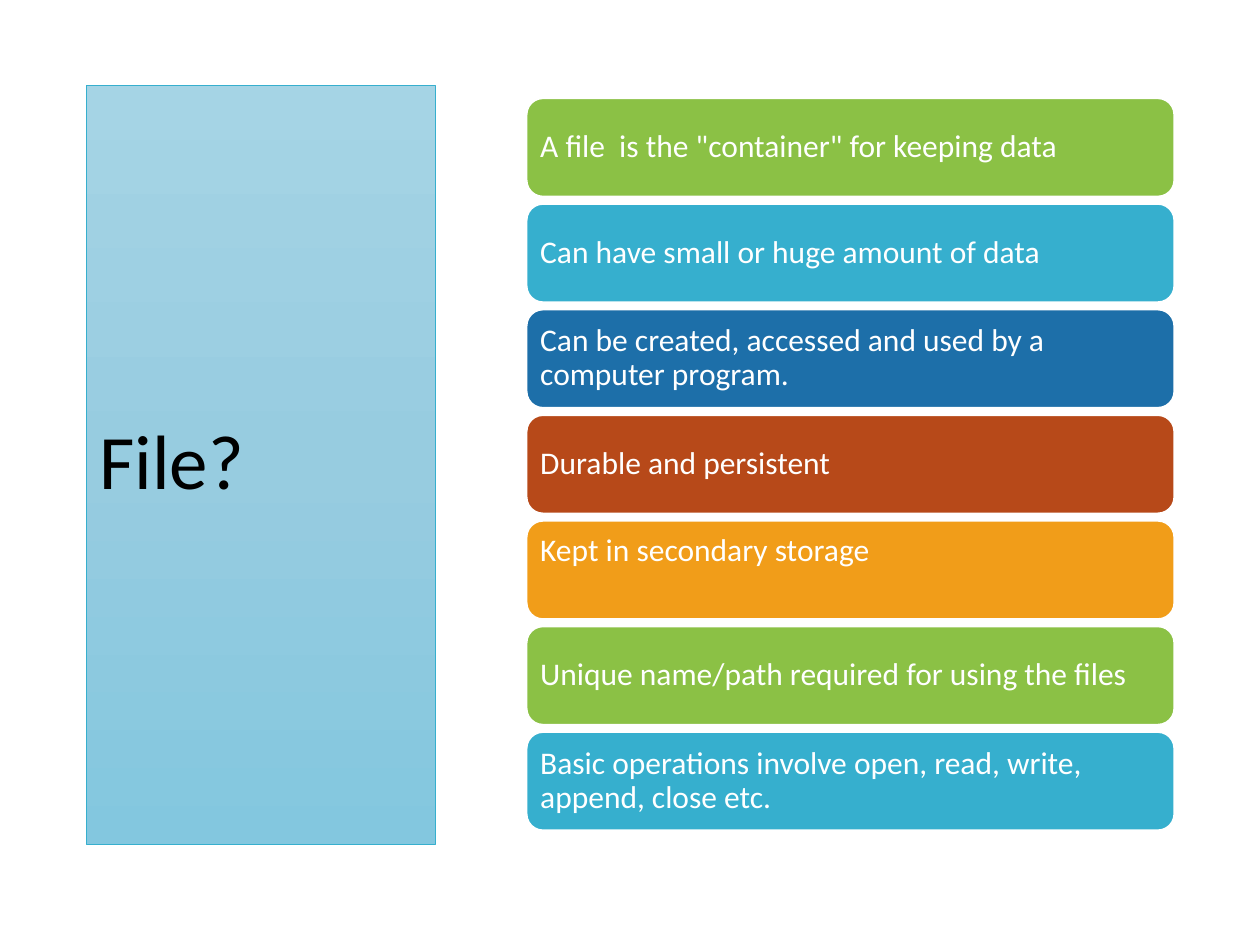
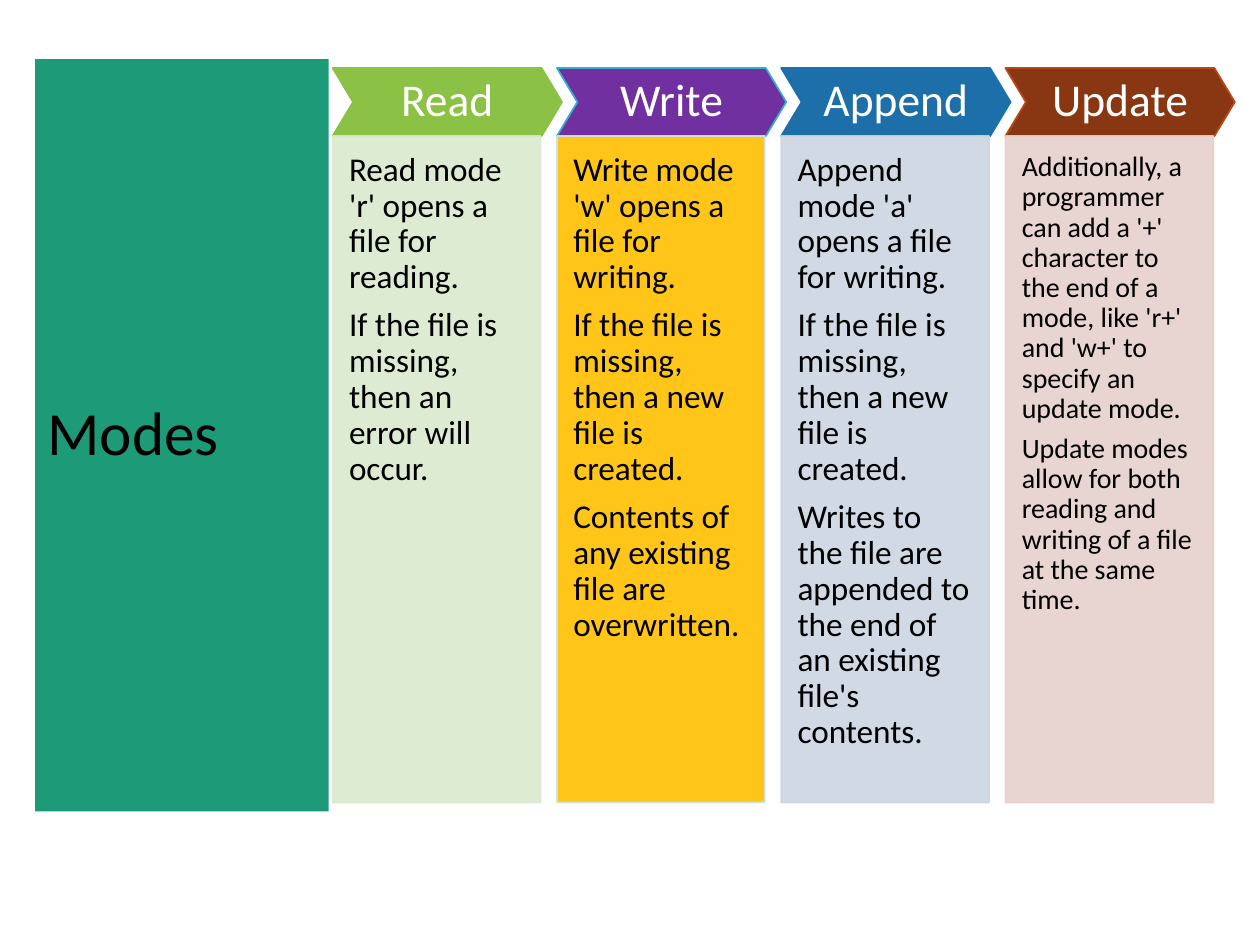
from copy import deepcopy

from pptx import Presentation
from pptx.dml.color import RGBColor
from pptx.enum.shapes import MSO_SHAPE as Shape
from pptx.enum.text import MSO_ANCHOR as Anchor, PP_ALIGN as Align
from pptx.oxml.ns import qn
from pptx.oxml.xmlchemy import OxmlElement
from pptx.util import Inches, Pt

FONT = "Calibri"
BLACK = RGBColor(0x00, 0x00, 0x00)
WHITE = RGBColor(0xFF, 0xFF, 0xFF)
GREEN = RGBColor(0x8B, 0xC1, 0x45)
CYAN = RGBColor(0x36, 0xAF, 0xCE)
BLUE = RGBColor(0x1D, 0x6F, 0xA9)
RUST = RGBColor(0xB7, 0x49, 0x19)
DARK_RUST = RGBColor(0x89, 0x37, 0x13)
ORANGE = RGBColor(0xF1, 0x9D, 0x19)
PURPLE = RGBColor(0x70, 0x30, 0xA0)
TEAL = RGBColor(0x1D, 0x9A, 0x78)
GOLD = RGBColor(0xFF, 0xC0, 0x00)
PALE_GREEN = RGBColor(0xDA, 0xE9, 0xCF)
PALE_CYAN = RGBColor(0xCE, 0xE3, 0xED)
PALE_BLUE = RGBColor(0xCD, 0xD5, 0xE2)
PALE_RUST = RGBColor(0xE6, 0xD0, 0xCC)
TITLE_GRADIENT = [
    (0, RGBColor(0xA5, 0xD4, 0xE5)),
    (0.5, RGBColor(0x97, 0xCC, 0xE0)),
    (1, RGBColor(0x83, 0xC7, 0xDF)),
]

FACTS = [
    ('A file  is the "container" for keeping data', GREEN, Anchor.MIDDLE),
    ("Can have small or huge amount of data", CYAN, Anchor.MIDDLE),
    ("Can be created, accessed and used by a computer program.", BLUE, Anchor.MIDDLE),
    ("Durable and persistent", RUST, Anchor.MIDDLE),
    ("Kept in secondary storage", ORANGE, Anchor.TOP),
    ("Unique name/path required for using the files", GREEN, Anchor.MIDDLE),
    ("Basic operations involve open, read, write, append, close etc.", CYAN, Anchor.MIDDLE),
]

NEW_FILE = "If the file is missing, then a new file is created."
# heading, head fill, head line, body fill, body line, text size, paragraphs
MODES = [
    ("Read", GREEN, GREEN, PALE_GREEN, PALE_GREEN, 19, [
        "Read mode 'r' opens a file for reading.",
        "If the file is missing, then an error will occur."]),
    ("Write", PURPLE, CYAN, GOLD, PALE_CYAN, 19, [
        "Write mode 'w' opens a file for writing.",
        NEW_FILE,
        "Contents of any existing file are overwritten."]),
    ("Append", BLUE, BLUE, PALE_BLUE, PALE_BLUE, 19, [
        "Append mode 'a' opens a file for writing.",
        NEW_FILE,
        "Writes to the file are appended to the end of an existing file's contents."]),
    ("Update", DARK_RUST, RUST, PALE_RUST, PALE_RUST, 16, [
        "Additionally, a programmer can add a '+' character to the end of a mode, "
        "like 'r+' and 'w+' to specify an update mode.",
        "Update modes allow for both reading and writing of a file at the same time."]),
]


def add_panel(page, kind, box, fill, line=None):
    """Add a flat shape; box is left, top, width, height in inches."""
    panel = page.shapes.add_shape(kind, *map(Inches, box))
    panel.shadow.inherit = False
    panel.fill.solid()
    panel.fill.fore_color.rgb = fill
    if line is None:
        panel.line.fill.background()
    else:
        panel.line.color.rgb = line
        panel.line.width = Pt(1)
    return panel


def write(panel, paragraphs, size, color, anchor=Anchor.MIDDLE, align=Align.LEFT,
          insets=(0.07, 0.07, 0.07, 0.07)):
    """Fill a panel with text; insets are left, top, right, bottom in inches."""
    frame = panel.text_frame
    frame.word_wrap = True
    frame.vertical_anchor = anchor
    (frame.margin_left, frame.margin_top,
     frame.margin_right, frame.margin_bottom) = map(Inches, insets)
    for index, text in enumerate(paragraphs):
        para = frame.add_paragraph() if index else frame.paragraphs[0]
        para.text = text
        para.alignment = align
        para.line_spacing = 0.9
        if index < len(paragraphs) - 1:
            para.space_after = Pt(0.36 * size)
        para.font.name = FONT
        para.font.size = Pt(size)
        para.font.color.rgb = color


def add_title(page, box, text, size, fill):
    panel = add_panel(page, Shape.RECTANGLE, box, fill)
    write(panel, [text], size, BLACK, insets=(0.1, 0.05, 0.1, 0.05))
    return panel


def apply_title_gradient(panel):
    panel.fill.gradient()
    panel.fill.gradient_angle = 270
    stop_list = panel._element.spPr.find(qn("a:gradFill")).find(qn("a:gsLst"))
    stop_list.insert(1, deepcopy(stop_list[0]))
    for stop, (position, color) in zip(panel.fill.gradient_stops, TITLE_GRADIENT):
        stop.position = position
        stop.color.rgb = color


def set_opacity(panel, percent):
    """Make both the fill and the line of a panel translucent."""
    for color in panel._element.spPr.iter(qn("a:srgbClr")):
        alpha = OxmlElement("a:alpha")
        alpha.set("val", str(percent * 1000))
        color.append(alpha)


def add_fact_list(page, box, row_height=0.78):
    left, top, width, height = box
    step = (height - row_height) / (len(FACTS) - 1)
    for row, (text, fill, anchor) in enumerate(FACTS):
        bar = add_panel(page, Shape.ROUNDED_RECTANGLE,
                        (left, top + row * step, width, row_height), fill, WHITE)
        write(bar, [text], 18, WHITE, anchor)


def add_mode_columns(page, box, head_height=0.54, head_width=1.82, body_width=1.65):
    left, top, width, height = box
    step = (width - head_width) / (len(MODES) - 1)
    for column, mode in enumerate(MODES):
        heading, head_fill, head_line, body_fill, body_line, size, paragraphs = mode
        x = left + column * step
        head = add_panel(page, Shape.CHEVRON, (x, top, head_width, head_height),
                         head_fill, head_line)
        head.adjustments[0] = 0.3
        write(head, [heading], 26, WHITE, align=Align.CENTER)
        body = add_panel(page, Shape.RECTANGLE,
                         (x, top + head_height, body_width, height - head_height),
                         body_fill, body_line)
        set_opacity(body, 90)
        write(body, paragraphs, size, BLACK, Anchor.TOP, insets=(0.13, 0.13, 0.13, 0.26))


def build_file_slide(page):
    title = add_title(page, (0.69, 0.68, 2.77, 6.02), "File?", 44, CYAN)
    apply_title_gradient(title)
    title.line.color.rgb = CYAN
    title.line.width = Pt(0.5)
    add_fact_list(page, (4.18, 0.78, 5.14, 5.81))


def build_modes_slide(page):
    add_title(page, (0.28, 0.47, 2.33, 5.97), "Modes", 35, TEAL)
    add_mode_columns(page, (2.64, 0.54, 7.16, 5.83))


def main():
    deck = Presentation()
    deck.slide_width, deck.slide_height = Inches(10), Inches(7.5)
    for build in (build_file_slide, build_modes_slide):
        build(deck.slides.add_slide(deck.slide_layouts[6]))
    deck.save("out.pptx")


if __name__ == "__main__":
    main()
